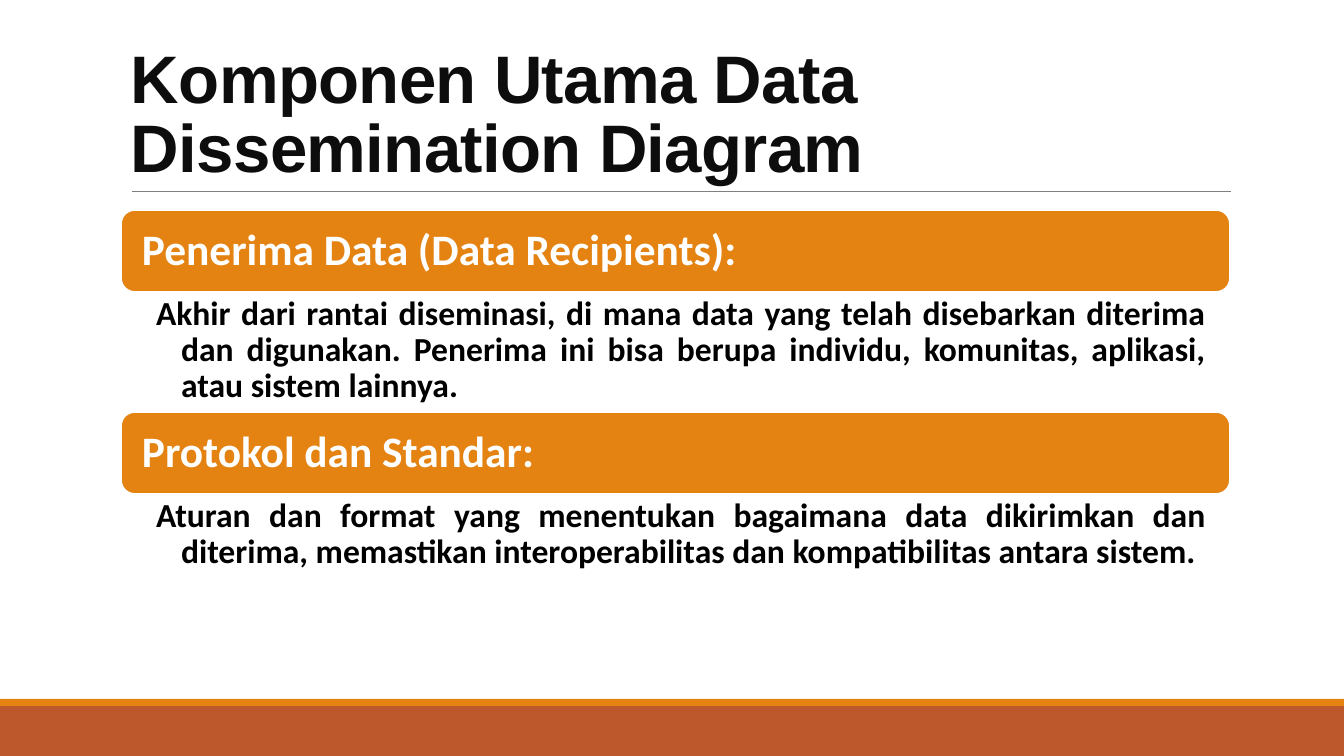
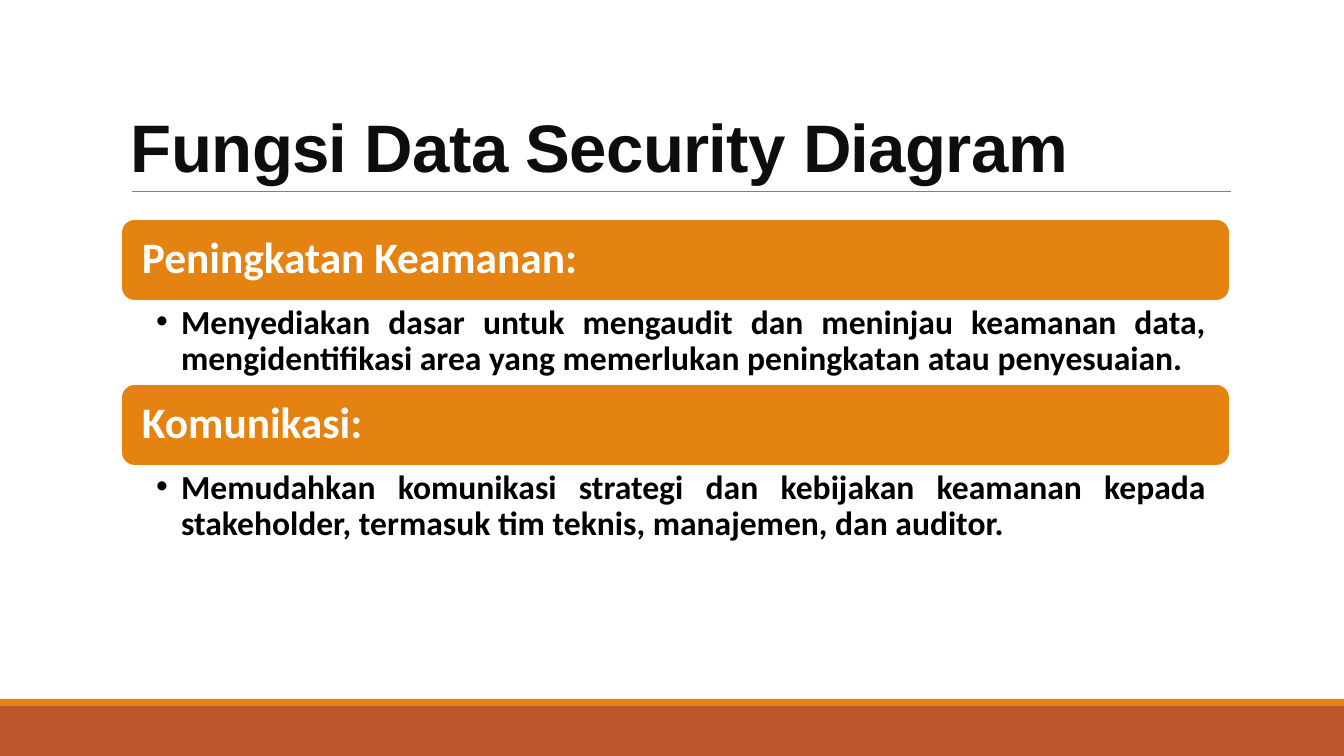
from lxml.etree import SubElement
from pptx import Presentation
from pptx.dml.color import RGBColor
from pptx.enum.shapes import MSO_CONNECTOR, MSO_SHAPE
from pptx.enum.text import MSO_ANCHOR, PP_ALIGN
from pptx.oxml.ns import qn
from pptx.util import Emu, Pt

# Content: title, top of the list, bullet, then (heading, text, text height)
SLIDES = [
    ("Komponen Utama Data Dissemination Diagram", 210, None, [
        ("Penerima Data (Data Recipients):",
         "Akhir dari rantai diseminasi, di mana data yang telah disebarkan "
         "diterima dan digunakan. Penerima ini bisa berupa individu, "
         "komunitas, aplikasi, atau sistem lainnya.", 120),
        ("Protokol dan Standar:",
         "Aturan dan format yang menentukan bagaimana data dikirimkan dan "
         "diterima, memastikan interoperabilitas dan kompatibilitas antara "
         "sistem.", 83),
    ]),
    ("Fungsi Data Security Diagram", 219, "•", [
        ("Peningkatan Keamanan:",
         "Menyediakan dasar untuk mengaudit dan meninjau keamanan data, "
         "mengidentifikasi area yang memerlukan peningkatan atau "
         "penyesuaian.", 83),
        ("Komunikasi:",
         "Memudahkan komunikasi strategi dan kebijakan keamanan kepada "
         "stakeholder, termasuk tim teknis, manajemen, dan auditor.", 83),
    ]),
]

# Shared style
ORANGE, RUST, GREY = "E48312", "BD582C", "808080"
WHITE, BLACK, TITLE_INK = "FFFFFF", "000000", "0D0D0D"
SLIDE_W, SLIDE_H = 1344, 756
LEFT, WIDTH, HEADING_H = 121, 1109, 82
HANGING = 25


def px(length):
    return Emu(round(length * 914400 / 100.8))


def color(value):
    return RGBColor.from_string(value)


def add_block(slide, preset, box, fill, outline=None):
    block = slide.shapes.add_shape(preset, *map(px, box))
    block.shadow.inherit = False
    block.fill.solid()
    block.fill.fore_color.rgb = color(fill)
    if outline:
        block.line.color.rgb = color(outline)
        block.line.width = Pt(1.25)
    else:
        block.line.fill.background()
    return block


def write(shape, text, font, size, ink, insets, anchor, align, spacing,
          hanging=0, bullet=None):
    frame = shape.text_frame
    frame.text = text
    frame.word_wrap = True
    frame.vertical_anchor = anchor
    (frame.margin_left, frame.margin_top,
     frame.margin_right, frame.margin_bottom) = map(px, insets)
    paragraph = frame.paragraphs[0]
    if hanging:
        properties = paragraph._p.get_or_add_pPr()
        properties.set("marL", str(px(hanging)))
        properties.set("indent", str(-px(hanging)))
        if bullet:
            SubElement(properties, qn("a:buFont")).set("typeface", "Arial")
            SubElement(properties, qn("a:buChar")).set("char", bullet)
    paragraph.alignment = align
    paragraph.line_spacing = spacing
    run = paragraph.runs[0]
    run.font.name = font
    run.font.size = Pt(size)
    run.font.bold = True
    run.font.color.rgb = color(ink)
    return run


def add_frame(slide, title):
    # Footer bands
    add_block(slide, MSO_SHAPE.RECTANGLE, (0, 706, SLIDE_W, 50), RUST)
    add_block(slide, MSO_SHAPE.RECTANGLE, (0, 699, SLIDE_W, 7), ORANGE)
    # Rule under the title
    rule = slide.shapes.add_connector(
        MSO_CONNECTOR.STRAIGHT, px(132), px(191), px(1231), px(191))
    rule.line.color.rgb = color(GREY)
    rule.line.width = Pt(0.5)
    SubElement(rule._element.spPr, qn("a:effectLst"))
    # Title
    heading = slide.shapes.add_textbox(px(LEFT), px(31), px(WIDTH), px(160))
    run = write(heading, title, "Arial", 48, TITLE_INK, (10, 5, 10, 5),
                MSO_ANCHOR.BOTTOM, PP_ALIGN.LEFT, 0.85)
    run.font._element.set("spc", "-50")


def add_sections(slide, top, bullet, sections):
    for heading, text, text_h in sections:
        bar = add_block(slide, MSO_SHAPE.ROUNDED_RECTANGLE,
                        (LEFT, top, WIDTH, HEADING_H), ORANGE, WHITE)
        write(bar, heading, "Calibri", 31, WHITE, (17, 17, 17, 17),
              MSO_ANCHOR.MIDDLE, PP_ALIGN.JUSTIFY, 0.9)
        top += HEADING_H
        body = slide.shapes.add_textbox(
            px(LEFT), px(top), px(WIDTH), px(text_h))
        write(body, text, "Calibri", 24, BLACK, (35, 4, 24, 4),
              MSO_ANCHOR.TOP, PP_ALIGN.JUSTIFY, 0.9, HANGING, bullet)
        top += text_h


def main():
    deck = Presentation()
    deck.slide_width, deck.slide_height = px(SLIDE_W), px(SLIDE_H)
    for title, top, bullet, sections in SLIDES:
        slide = deck.slides.add_slide(deck.slide_layouts[6])
        add_frame(slide, title)
        add_sections(slide, top, bullet, sections)
    deck.save("out.pptx")


if __name__ == "__main__":
    main()
